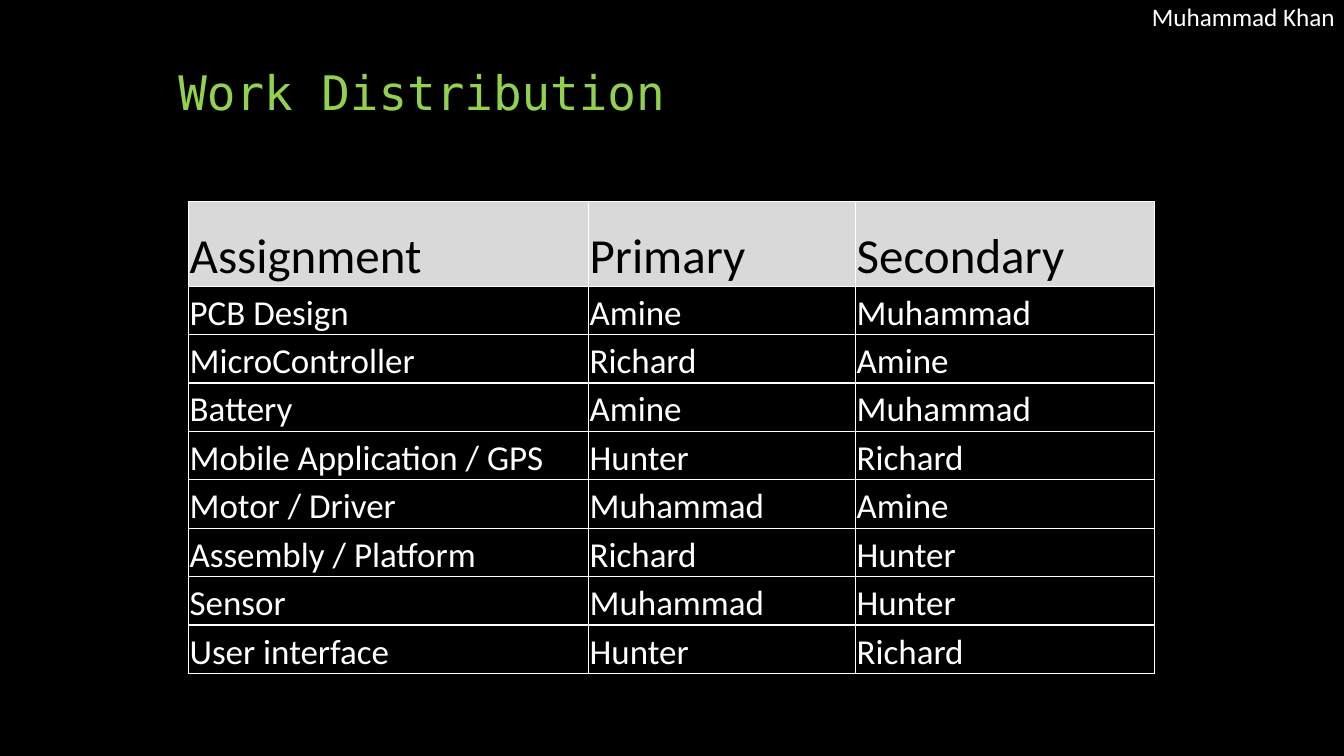
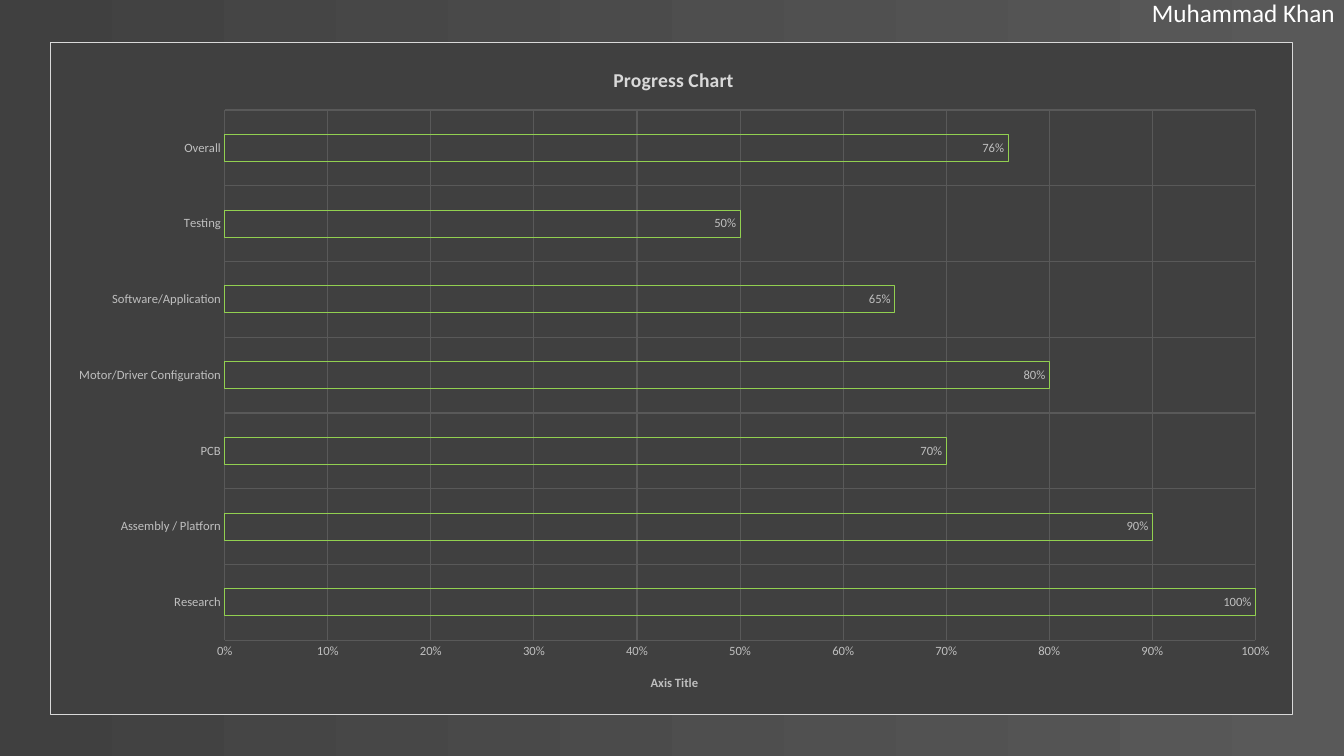
from dataclasses import dataclass

from lxml import etree
from pptx import Presentation
from pptx.chart.data import CategoryChartData
from pptx.dml.color import RGBColor as RGB
from pptx.enum.chart import XL_CHART_TYPE as ChartType
from pptx.enum.chart import XL_LABEL_POSITION as LabelPos
from pptx.enum.chart import XL_TICK_MARK as Tick
from pptx.enum.text import MSO_ANCHOR as Anchor
from pptx.enum.text import MSO_AUTO_SIZE as AutoSize
from pptx.enum.text import PP_ALIGN as Align
from pptx.oxml.ns import qn
from pptx.util import Cm, Pt

TITLE_ONLY, BLANK = 5, 6


@dataclass(frozen=True)
class Theme:
    black: str = "000000"
    white: str = "FFFFFF"
    green: str = "92D050"
    light: str = "D9D9D9"
    label: str = "BFBFBF"
    grid: str = "595959"
    panel: str = "404040"
    body_font: str = "Calibri"
    title_font: str = "DejaVu Sans Mono"
    title: int = 34
    table_head: int = 35
    table_body: int = 25
    name: int = 18
    chart_title: int = 14
    chart_label: int = 9
    hairline: float = 0.75


def style_line(line, color, width):
    line.color.rgb = RGB.from_string(color)
    line.width = Pt(width)


def fill_solid(fill, color):
    fill.solid()
    fill.fore_color.rgb = RGB.from_string(color)


def set_borders(cell, color, width):
    tc_pr = cell._tc.get_or_add_tcPr()
    for i, side in enumerate(("lnL", "lnR", "lnT", "lnB")):
        ln = etree.Element(qn(f"a:{side}"), w=str(Pt(width)))
        fill = etree.SubElement(ln, qn("a:solidFill"))
        etree.SubElement(fill, qn("a:srgbClr"), val=color)
        tc_pr.insert(i, ln)


def set_layout(parent, index, **fractions):
    """Place a chart part by fractions of the chart's width and height."""
    for old in parent.findall(qn("c:layout")):
        parent.remove(old)
    layout = etree.Element(qn("c:layout"))
    manual = etree.SubElement(layout, qn("c:manualLayout"))
    if "w" in fractions:
        etree.SubElement(manual, qn("c:layoutTarget"), val="inner")
    for key in ("x", "y"):
        etree.SubElement(manual, qn(f"c:{key}Mode"), val="edge")
    for key, value in fractions.items():
        etree.SubElement(manual, qn(f"c:{key}"), val=str(value))
    parent.insert(index, layout)


class Deck:
    def __init__(self, theme):
        self.t = theme
        self.prs = Presentation()
        self.prs.slide_width, self.prs.slide_height = Cm(33.87), Cm(19.05)
        self.s = None

    def slide(self, layout, *colors):
        """Add a slide; two colours make a gradient from right to left."""
        self.s = self.prs.slides.add_slide(self.prs.slide_layouts[layout])
        fill = self.s.background.fill
        if len(colors) == 1:
            fill_solid(fill, colors[0])
            return
        fill.gradient()
        fill.gradient_angle = 180
        for stop, color, pos in zip(fill.gradient_stops, colors, (0, 1)):
            stop.color.rgb = RGB.from_string(color)
            stop.position = pos

    def font(self, font, size, color, bold=False, name=None):
        font.name = name or self.t.body_font
        font.size = Pt(size)
        font.bold = bold
        font.color.rgb = RGB.from_string(color)

    def title(self, text):
        sp = self.s.shapes.title
        sp.left, sp.top, sp.width, sp.height = Cm(4.24), Cm(1.27), Cm(25.4), Cm(3.18)
        tf = sp.text_frame
        tf.text = text
        tf.auto_size = AutoSize.NONE
        tf.vertical_anchor = Anchor.BOTTOM
        tf.margin_bottom = Cm(1.4)
        p = tf.paragraphs[0]
        p.alignment = Align.LEFT
        p.line_spacing = 0.9
        self.font(p.font, self.t.title, self.t.green, name=self.t.title_font)

    def presenter(self, name, top):
        sp = self.s.shapes.add_textbox(Cm(28.78), Cm(top), Cm(5.31), Cm(1.02))
        tf = sp.text_frame
        tf.word_wrap = True
        tf.text = name
        self.font(tf.paragraphs[0].font, self.t.name, self.t.white)

    def table(self, rows, left, top, widths, head_height, row_height):
        t = self.t
        heights = [head_height] + [row_height] * (len(rows) - 1)
        table = self.s.shapes.add_table(
            len(rows), len(widths), Cm(left), Cm(top),
            Cm(sum(widths)), Cm(sum(heights))).table
        table.horz_banding = False
        for column, width in zip(table.columns, widths):
            column.width = Cm(width)
        for i, (row, height, texts) in enumerate(zip(table.rows, heights, rows)):
            row.height = Cm(height)
            if i == 0:
                fill, size, color = t.light, t.table_head, t.black
            else:
                fill, size, color = t.black, t.table_body, t.white
            for cell, text in zip(row.cells, texts):
                cell.text = text
                cell.vertical_anchor = Anchor.BOTTOM
                cell.margin_left = cell.margin_right = cell.margin_top = Cm(0.03)
                cell.margin_bottom = 0
                fill_solid(cell.fill, fill)
                set_borders(cell, t.white, 1)
                self.font(cell.text_frame.paragraphs[0].font, size, color)

    def heading(self, owner, text, size, color):
        """Title a chart or an axis."""
        title = owner.chart_title if hasattr(owner, "chart_title") else owner.axis_title
        title.text_frame.text = text
        self.font(title.text_frame.paragraphs[0].font, size, color, bold=True)
        return title

    def bar_chart(self, title, axis_title, values, left, top, width, height):
        t = self.t
        data = CategoryChartData(number_format="0%")
        data.categories = list(values)
        data.add_series("Series 1", list(values.values()))
        chart = self.s.shapes.add_chart(
            ChartType.BAR_CLUSTERED, Cm(left), Cm(top),
            Cm(width), Cm(height), data).chart
        self.font(chart.font, 10, t.white)
        chart.has_legend = False
        heading = self.heading(chart, title, t.chart_title, t.light)
        set_layout(heading._element, 1, x=0.45, y=0.03)
        self.heading(chart.value_axis, axis_title, t.chart_label, t.label)

        for axis in (chart.category_axis, chart.value_axis):
            axis.major_tick_mark = axis.minor_tick_mark = Tick.NONE
            axis.format.line.fill.background()
            axis.has_major_gridlines = True
            style_line(axis.major_gridlines.format.line, t.grid, t.hairline)
            self.font(axis.tick_labels.font, t.chart_label, t.label)
        axis = chart.value_axis
        axis.minimum_scale, axis.maximum_scale, axis.major_unit = 0, 1, 0.1
        axis.tick_labels.number_format = "0%"
        axis.tick_labels.number_format_is_linked = False

        plot = chart.plots[0]
        plot.gap_width, plot.overlap = 182, -50
        plot.vary_by_categories = False
        series = plot.series[0]
        series.format.fill.background()
        style_line(series.format.line, t.green, t.hairline)
        plot.has_data_labels = True
        labels = plot.data_labels
        labels.show_value = True
        labels.position = LabelPos.INSIDE_END
        labels.number_format = "0%"
        labels.number_format_is_linked = False
        self.font(labels.font, t.chart_label, t.label)
        self.chart_panel(chart)

    def chart_panel(self, chart):
        """Set the plot's place and the chart's own fill and border."""
        t = self.t
        space = chart._chartSpace
        set_layout(space.chart.plotArea, 0, x=0.14, y=0.1, w=0.83, h=0.79)
        sp_pr = etree.Element(qn("c:spPr"))
        ln = etree.Element(qn("a:ln"), w=str(Pt(t.hairline)))
        for parent, color in ((sp_pr, t.panel), (ln, t.light)):
            fill = etree.SubElement(parent, qn("a:solidFill"))
            etree.SubElement(fill, qn("a:srgbClr"), val=color)
        sp_pr.append(ln)
        space.chart.addnext(sp_pr)


ASSIGNMENTS = [
    ("Assignment", "Primary", "Secondary"),
    ("PCB Design", "Amine", "Muhammad"),
    ("MicroController", "Richard", "Amine"),
    ("Battery", "Amine", "Muhammad"),
    ("Mobile Application / GPS", "Hunter", "Richard"),
    ("Motor / Driver", "Muhammad", "Amine"),
    ("Assembly / Platform", "Richard", "Hunter"),
    ("Sensor", "Muhammad", "Hunter"),
    ("User interface", "Hunter", "Richard"),
]
PROGRESS = {
    "Research": 1, "Assembly / Platforn": 0.9, "PCB": 0.7,
    "Motor/Driver Configuration": 0.8, "Software/Application": 0.65,
    "Testing": 0.5, "Overall": 0.76,
}
PRESENTER = "Muhammad Khan"


def main():
    theme = Theme()
    deck = Deck(theme)

    deck.slide(TITLE_ONLY, theme.black)
    deck.title("Work Distribution")
    deck.table(ASSIGNMENTS, 4.75, 5.08, (10.08, 6.73, 7.54), 2.13, 1.22)
    deck.presenter(PRESENTER, -0.08)

    deck.slide(BLANK, theme.grid, theme.panel)
    deck.bar_chart("Progress Chart", "Axis Title", PROGRESS, 1.27, 1.07, 31.32, 16.94)
    deck.presenter(PRESENTER, -0.2)

    deck.prs.save("out.pptx")


if __name__ == "__main__":
    main()
